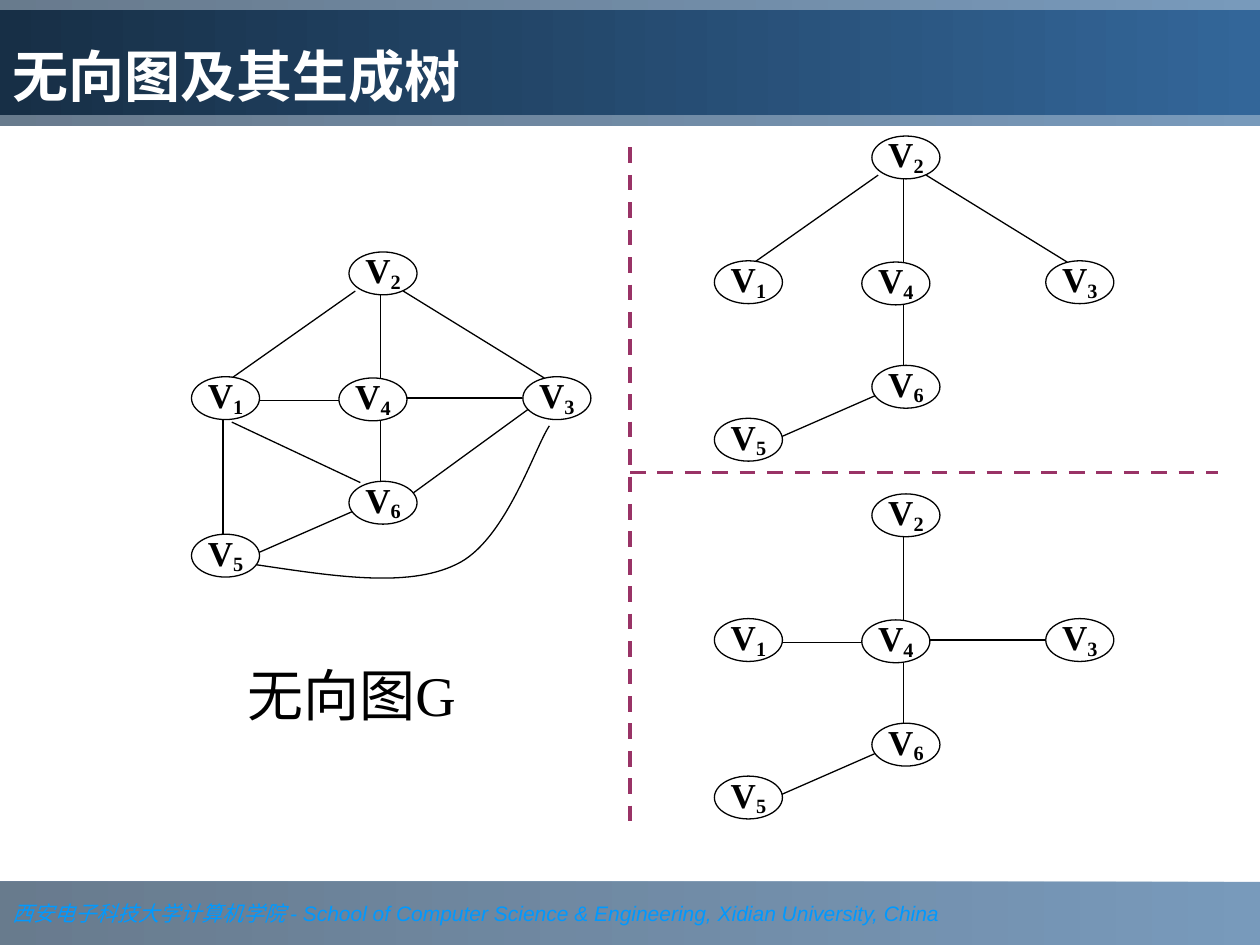
from dataclasses import dataclass

from lxml.etree import SubElement
from pptx import Presentation
from pptx.dml.color import RGBColor
from pptx.enum.dml import MSO_LINE as Dash
from pptx.enum.shapes import MSO_CONNECTOR as Connector, MSO_SHAPE as Shape
from pptx.enum.text import MSO_ANCHOR as Anchor, PP_ALIGN as Align
from pptx.oxml.ns import qn
from pptx.util import Inches, Pt

COLORS = {
    "black": "000000", "white": "FFFFFF", "divider": "993366", "footer": "0099FF",
    "blue": "336699", "band_dark": "1B3753", "title_dark": "172F46",
}
SERIF = "Times New Roman"
NODE_WIDTH, NODE_HEIGHT = 0.54, 0.34

# Vertex corners and edge ends, as placed in graph G
VERTICES = {1: (1.52, 2.99), 2: (2.77, 2), 3: (4.15, 2.99),
            4: (2.69, 3), 5: (1.52, 4.24), 6: (2.77, 3.82)}
EDGES = {
    "1-2": (2.82, 2.31, 1.84, 3), "2-3": (3.2, 2.31, 4.32, 3),
    "1-6": (1.84, 3.35, 2.86, 3.83), "1-4": (2.75, 3.18, 1.94, 3.18),
    "3-4": (3.17, 3.16, 4.14, 3.16), "5-6": (2.82, 4.05, 2.02, 4.4),
    "2-4": (3.02, 3, 3.02, 2.33), "3-6": (4.19, 3.25, 3.27, 3.92),
    "1-5": (1.77, 3.33, 1.77, 4.25), "4-6": (3.02, 3.33, 3.02, 3.83),
}
# Start point, then two control points and an end for each bend
CURVE_3_5 = [(2.02, 4.48), (2.63, 4.57), (3.23, 4.67), (3.62, 4.48),
             (4.01, 4.3), (4.24, 3.56), (4.36, 3.38)]


@dataclass
class Graph:
    dx: float
    dy: float
    edges: list[str]


GRAPHS = [
    Graph(0, 0, list(EDGES)),
    Graph(4.15, -0.92, ["1-2", "2-3", "5-6", "2-4", "4-6"]),
    Graph(4.15, 1.92, ["1-4", "3-4", "5-6", "2-4", "4-6"]),
]


def rgb(name: str) -> RGBColor:
    return RGBColor.from_string(COLORS[name])


def add_text(para, text: str, *, size: float, color: str = "black", font: str = SERIF,
             bold: bool = False, italic: bool = False, baseline: int = 0) -> None:
    span = para.add_run()
    span.text = text
    span.font.size, span.font.name = Pt(size), font
    span.font.bold, span.font.italic = bold, italic
    span.font.color.rgb = rgb(color)
    if baseline:
        span._r.get_or_add_rPr().set("baseline", str(baseline * 1000))


def add_band(page, top: float, height: float, dark: str, alpha: int = 100):
    band = page.shapes.add_shape(Shape.RECTANGLE, 0, Inches(top), Inches(10), Inches(height))
    band.shadow.inherit = False
    band.line.fill.background()
    band.fill.gradient()
    band.fill.gradient_angle = 180
    for stop, color in zip(band.fill.gradient_stops, ("blue", dark)):
        stop.color.rgb = rgb(color)
    if alpha < 100:
        for value in band._element.spPr.iter(qn("a:srgbClr")):
            SubElement(value, qn("a:alpha")).set("val", str(alpha * 1000))
    band.text_frame.paragraphs[0].alignment = Align.LEFT
    return band


def add_line(page, ends: tuple, dx: float = 0, dy: float = 0, *, color: str = "black",
             width: float = 0.75, dashed: bool = False) -> None:
    x1, y1, x2, y2 = ends
    line = page.shapes.add_connector(Connector.STRAIGHT, Inches(x1 + dx), Inches(y1 + dy),
                                     Inches(x2 + dx), Inches(y2 + dy))
    line.line.color.rgb, line.line.width = rgb(color), Pt(width)
    if dashed:
        line.line.dash_style = Dash.DASH
    SubElement(line._element.spPr, qn("a:effectLst"))


def add_curve(page, points: list) -> None:
    corners = [(Inches(x), Inches(y)) for x, y in points]
    builder = page.shapes.build_freeform(*corners[0])
    builder.add_line_segments(corners[1:], close=False)
    curve = builder.convert_to_shape()
    curve.shadow.inherit = False
    curve.fill.background()
    curve.line.color.rgb, curve.line.width = rgb("black"), Pt(0.75)
    # Turn each three straight segments into one cubic bend
    outline = next(curve._element.iter(qn("a:path")))
    segments = outline.findall(qn("a:lnTo"))
    for start in range(0, len(segments), 3):
        bend = SubElement(outline, qn("a:cubicBezTo"))
        for segment in segments[start:start + 3]:
            bend.append(segment[0])
            outline.remove(segment)


def add_vertex(page, number: int, left: float, top: float) -> None:
    node = page.shapes.add_shape(Shape.OVAL, Inches(left), Inches(top),
                                 Inches(NODE_WIDTH), Inches(NODE_HEIGHT))
    node.shadow.inherit = False
    node.fill.solid()
    node.fill.fore_color.rgb = rgb("white")
    node.line.color.rgb, node.line.width = rgb("black"), Pt(0.75)
    frame = node.text_frame
    frame.margin_left = frame.margin_top = frame.margin_right = frame.margin_bottom = 0
    frame.vertical_anchor = Anchor.TOP
    para = frame.paragraphs[0]
    para.alignment, para.line_spacing = Align.CENTER, 0.72
    add_text(para, "V", size=20, bold=True)
    add_text(para, str(number), size=20, bold=True, baseline=-16)


def add_graph(page, graph: Graph) -> None:
    for edge in graph.edges:
        add_line(page, EDGES[edge], graph.dx, graph.dy)
    for number, (left, top) in VERTICES.items():
        add_vertex(page, number, left + graph.dx, top + graph.dy)


def main() -> None:
    deck = Presentation()
    deck.slide_width, deck.slide_height = Inches(10), Inches(7.5)
    page = deck.slides.add_slide(deck.slide_layouts[6])

    # Footer
    footer = add_band(page, 7, 0.5, "band_dark", alpha=66)
    footer.text_frame.word_wrap = False
    footer.text_frame.vertical_anchor = Anchor.MIDDLE
    para = footer.text_frame.paragraphs[0]
    add_text(para, "西安电子科技大学计算机学院 ", size=12, color="footer", italic=True)
    add_text(para, "- School of Computer Science & Engineering, Xidian University, China",
             size=12, color="footer", font="Arial", italic=True)

    # Title
    add_band(page, 0, 1, "band_dark", alpha=66)
    title = add_band(page, 0.08, 0.83, "title_dark")
    title.text_frame.vertical_anchor = Anchor.BOTTOM
    add_text(title.text_frame.paragraphs[0], "无向图及其生成树", size=32, color="white",
             font="Cabin", bold=True)

    # Graph G and its two spanning trees
    add_curve(page, CURVE_3_5)
    for graph in GRAPHS:
        add_graph(page, graph)

    # Dividers
    for ends in ((5, 1.17, 5, 6.58), (5, 3.75, 9.67, 3.75)):
        add_line(page, ends, color="divider", width=2.25, dashed=True)

    # Caption
    caption = page.shapes.add_textbox(Inches(1.75), Inches(5.25), Inches(2.08), Inches(0.58))
    caption.text_frame.word_wrap = True
    para = caption.text_frame.paragraphs[0]
    para.alignment, para.line_spacing = Align.CENTER, 0.9
    add_text(para, "无向图G", size=32)

    deck.save("out.pptx")


if __name__ == "__main__":
    main()
